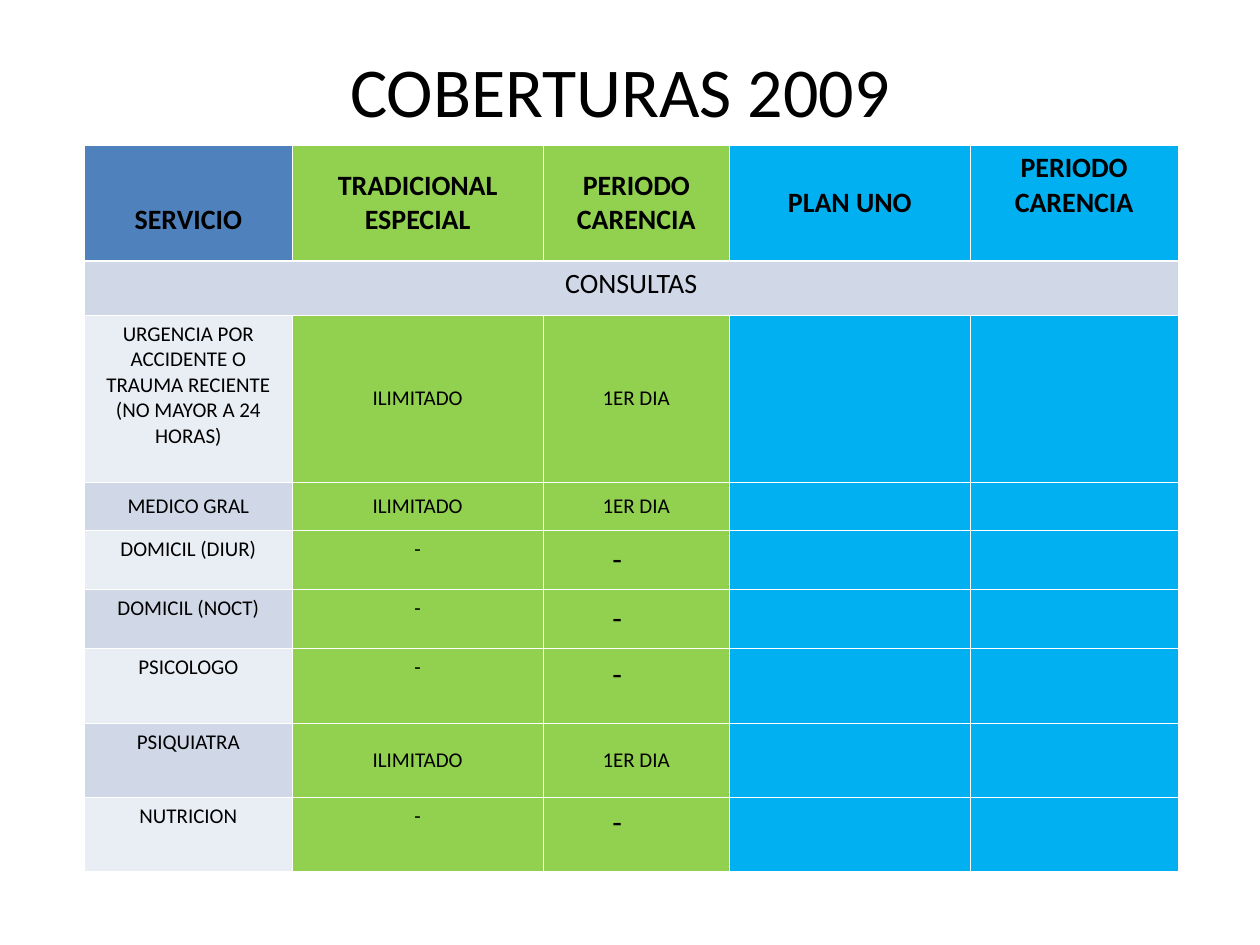
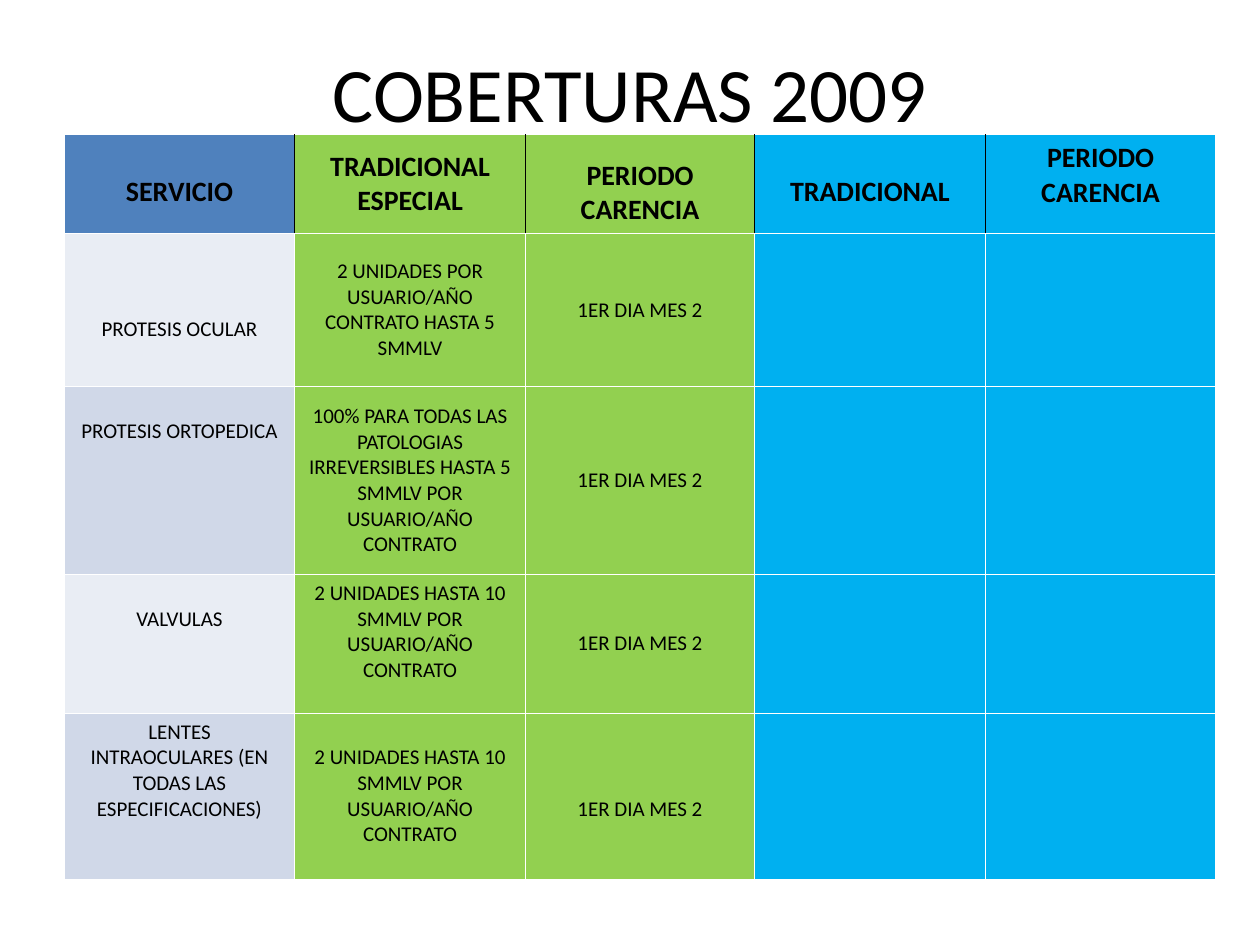
from dataclasses import dataclass

from lxml import etree
from pptx import Presentation
from pptx.dml.color import RGBColor
from pptx.enum.text import MSO_ANCHOR, PP_ALIGN
from pptx.oxml.ns import qn
from pptx.util import Inches, Pt

TOP, MIDDLE, BOTTOM = MSO_ANCHOR.TOP, MSO_ANCHOR.MIDDLE, MSO_ANCHOR.BOTTOM
LEFT, CENTER = PP_ALIGN.LEFT, PP_ALIGN.CENTER

# The slide is a grid of 100 columns by 75 rows of square units.
UNIT = Inches(0.1)
GRID_COLUMNS, GRID_ROWS = 100, 75

FONT = "Calibri"
BLACK, WHITE = "000000", "FFFFFF"
HEADER_BLUE, GREEN, CYAN = "4F81BD", "92D050", "00B0F0"
LIGHT_BAND, DARK_BAND = "E9EDF4", "D0D8E8"
COLUMN_FILLS = (HEADER_BLUE, GREEN, GREEN, CYAN, CYAN)

HEADER_SIZE, BODY_SIZE, DASH_SIZE = 16, 12, 18
LINE_HEIGHT = 1.22
MARGIN_X, MARGIN_Y = 1, 0.5
DASH_INDENT = 4.5
THIN_RULE, THICK_RULE = 0.45, 1.47


@dataclass(frozen=True)
class Frame:
    """A rectangle in grid units."""
    left: float
    top: float
    width: float
    height: float


@dataclass(frozen=True)
class Entry:
    """Text of one cell; lines_down lowers it by whole lines of text."""
    text: str
    anchor: MSO_ANCHOR = MIDDLE
    lines_down: int = 0
    size: int = BODY_SIZE
    bold: bool = False
    align: PP_ALIGN = CENTER
    indent: float = 0


@dataclass(frozen=True)
class Coverage:
    """One slide: its title and its table of services."""
    title_frame: Frame
    title_size: int
    table_frame: Frame
    columns: tuple[float, ...]
    rows: tuple[float, ...]
    header: tuple[Entry, ...]
    services: tuple[tuple[Entry, ...], ...]
    section: str = ""
    header_divider: str = WHITE
    header_rule: float = THIN_RULE


def heading(text: str, anchor: MSO_ANCHOR = MIDDLE, lines_down: int = 0) -> Entry:
    return Entry(text, anchor, lines_down, HEADER_SIZE, bold=True)


def not_covered(service: str, dash_anchor: MSO_ANCHOR) -> tuple[Entry, ...]:
    dash = Entry("-", dash_anchor, size=DASH_SIZE, align=LEFT, indent=DASH_INDENT)
    return Entry(service, TOP), Entry("-", TOP), dash


def unlimited(service: str, anchor: MSO_ANCHOR = TOP) -> tuple[Entry, ...]:
    return Entry(service, anchor), Entry("ILIMITADO"), Entry("1ER DIA")


TITLE = "COBERTURAS 2009"
WAITING_PERIOD = "PERIODO CARENCIA"
SPECIAL_PLAN = "TRADICIONAL ESPECIAL"
SECOND_MONTH = "1ER DIA MES 2"
TWO_UNITS = "2 UNIDADES HASTA 10 SMMLV POR USUARIO/AÑO CONTRATO"

CONSULTATIONS = Coverage(
    title_frame=Frame(6.7, 3.6, 85, 7),
    title_size=40,
    table_frame=Frame(6.7, 11.5, 86.8, 57.7),
    columns=(16.5, 19.9, 14.8, 19.1, 16.5),
    rows=(9.2, 4.3, 13.3, 3.8, 4.7, 4.7, 5.9, 5.9, 5.9),
    header=(
        heading("SERVICIO", lines_down=1),
        heading(SPECIAL_PLAN),
        heading(WAITING_PERIOD),
        heading("PLAN UNO"),
        heading(WAITING_PERIOD, TOP),
    ),
    section="CONSULTAS",
    services=(
        unlimited("URGENCIA POR ACCIDENTE O TRAUMA RECIENTE (NO MAYOR A 24 HORAS)"),
        unlimited("MEDICO GRAL", MIDDLE),
        not_covered("DOMICIL (DIUR)", MIDDLE),
        not_covered("DOMICIL (NOCT)", MIDDLE),
        not_covered("PSICOLOGO", TOP),
        unlimited("PSIQUIATRA"),
        not_covered("NUTRICION", TOP),
    ),
    header_rule=THICK_RULE,
)

PROSTHESES = Coverage(
    title_frame=Frame(5, 3, 90, 8.5),
    title_size=44,
    table_frame=Frame(5.1, 10.7, 91.4, 59.1),
    columns=(18.3, 18.3, 18.2, 18.3, 18.3),
    rows=(7.8, 12.2, 14.9, 11, 13.2),
    header=(
        heading("SERVICIO", TOP, 1),
        heading(SPECIAL_PLAN),
        heading(WAITING_PERIOD, BOTTOM),
        heading("TRADICIONAL", TOP, 1),
        heading(WAITING_PERIOD, TOP),
    ),
    services=(
        (
            Entry("PROTESIS OCULAR", TOP, 3),
            Entry("2 UNIDADES POR USUARIO/AÑO CONTRATO HASTA 5 SMMLV"),
            Entry(SECOND_MONTH),
        ),
        (
            Entry("PROTESIS ORTOPEDICA", TOP, 1),
            Entry("100% PARA TODAS LAS PATOLOGIAS IRREVERSIBLES HASTA 5 SMMLV "
                  "POR USUARIO/AÑO CONTRATO"),
            Entry(SECOND_MONTH),
        ),
        (Entry("VALVULAS", TOP, 1), Entry(TWO_UNITS, TOP), Entry(SECOND_MONTH)),
        (
            Entry("LENTES INTRAOCULARES (EN TODAS LAS ESPECIFICACIONES)", TOP),
            Entry(TWO_UNITS, TOP, 1),
            Entry(SECOND_MONTH, lines_down=1),
        ),
    ),
    header_divider=BLACK,
)


def units(count: float) -> int:
    return round(count * UNIT)


def place(frame: Frame) -> tuple[int, int, int, int]:
    return units(frame.left), units(frame.top), units(frame.width), units(frame.height)


def color(value: str) -> RGBColor:
    return RGBColor.from_string(value)


def style_paragraph(paragraph, size: int, bold: bool = False, align: PP_ALIGN = CENTER) -> None:
    paragraph.alignment = align
    font = paragraph.font
    font.name, font.size, font.bold = FONT, Pt(size), bold
    font.color.rgb = color(BLACK)


def add_title(slide, frame: Frame, size: int) -> None:
    text_frame = slide.shapes.add_textbox(*place(frame)).text_frame
    text_frame.word_wrap = True
    text_frame.vertical_anchor = MIDDLE
    text_frame.text = TITLE
    style_paragraph(text_frame.paragraphs[0], size)


def add_border(cell, side: str, line_color: str, width: float) -> None:
    properties = cell._tc.get_or_add_tcPr()
    line = etree.SubElement(properties, qn(f"a:ln{side}"), w=str(Pt(width)))
    fill = etree.SubElement(line, qn("a:solidFill"))
    etree.SubElement(fill, qn("a:srgbClr"), val=line_color)


def draw_borders(cell, row: int, column: int, coverage: Coverage) -> None:
    """Draw the cell's four sides; the header has its own dividers and lower rule."""
    divider = coverage.header_divider if row == 0 else WHITE
    last_column = len(coverage.columns) - 1
    add_border(cell, "L", divider if column > 0 else WHITE, THIN_RULE)
    add_border(cell, "R", divider if column < last_column else WHITE, THIN_RULE)
    add_border(cell, "T", WHITE, coverage.header_rule if row == 1 else THIN_RULE)
    add_border(cell, "B", WHITE, coverage.header_rule if row == 0 else THIN_RULE)


def fill_cell(cell, fill_color: str) -> None:
    cell.fill.solid()
    cell.fill.fore_color.rgb = color(fill_color)
    cell.margin_top = cell.margin_bottom = 0


def write_entry(cell, entry: Entry) -> None:
    cell.text = entry.text
    cell.vertical_anchor = entry.anchor
    cell.margin_left = units(MARGIN_X + entry.indent)
    cell.margin_right = units(MARGIN_X)
    cell.margin_bottom = units(MARGIN_Y)
    cell.margin_top = units(MARGIN_Y) + Pt(entry.lines_down * entry.size * LINE_HEIGHT)
    style_paragraph(cell.text_frame.paragraphs[0], entry.size, entry.bold, entry.align)


def add_coverage_table(slide, coverage: Coverage) -> None:
    row_count, column_count = len(coverage.rows), len(coverage.columns)
    table = slide.shapes.add_table(row_count, column_count, *place(coverage.table_frame)).table
    table.first_row = table.horz_banding = False
    for column, width in zip(table.columns, coverage.columns):
        column.width = units(width)
    for row, height in zip(table.rows, coverage.rows):
        row.height = units(height)

    entries = [coverage.header]
    if coverage.section:
        entries.append((Entry(coverage.section, TOP, size=HEADER_SIZE),))
        table.cell(1, 0).merge(table.cell(1, column_count - 1))
    first_service = len(entries)
    entries.extend(coverage.services)

    for row, row_entries in enumerate(entries):
        band = DARK_BAND if (row - first_service) % 2 else LIGHT_BAND
        for column, column_fill in enumerate(COLUMN_FILLS):
            cell = table.cell(row, column)
            draw_borders(cell, row, column, coverage)
            is_section = 0 < row < first_service
            is_service_name = row > 0 and column == 0
            fill_cell(cell, band if is_section or is_service_name else column_fill)
            if column < len(row_entries):
                write_entry(cell, row_entries[column])


def main() -> None:
    presentation = Presentation()
    presentation.slide_width = units(GRID_COLUMNS)
    presentation.slide_height = units(GRID_ROWS)
    blank_layout = presentation.slide_layouts[6]
    for coverage in (CONSULTATIONS, PROSTHESES):
        slide = presentation.slides.add_slide(blank_layout)
        add_title(slide, coverage.title_frame, coverage.title_size)
        add_coverage_table(slide, coverage)
    presentation.save("out.pptx")


if __name__ == "__main__":
    main()
